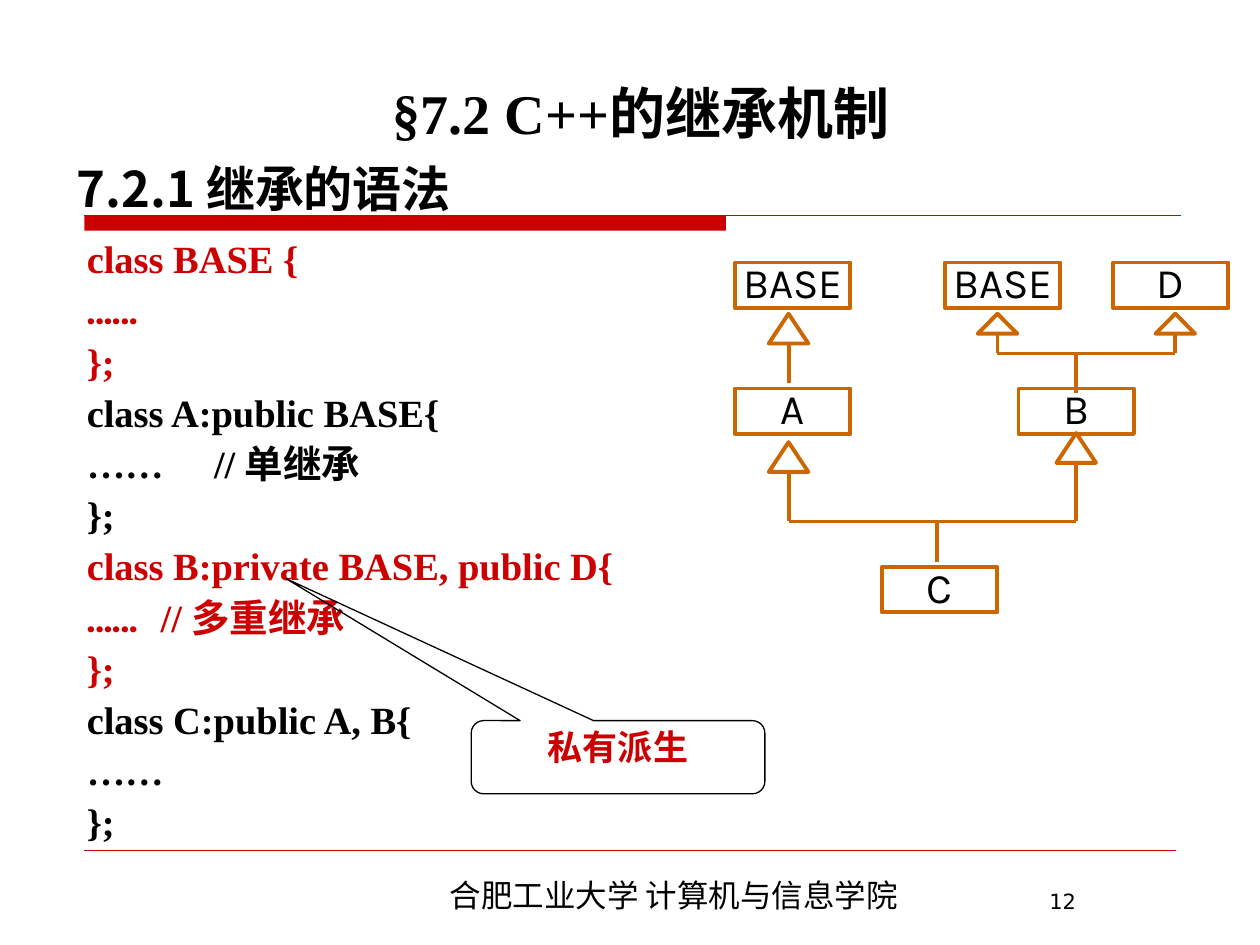
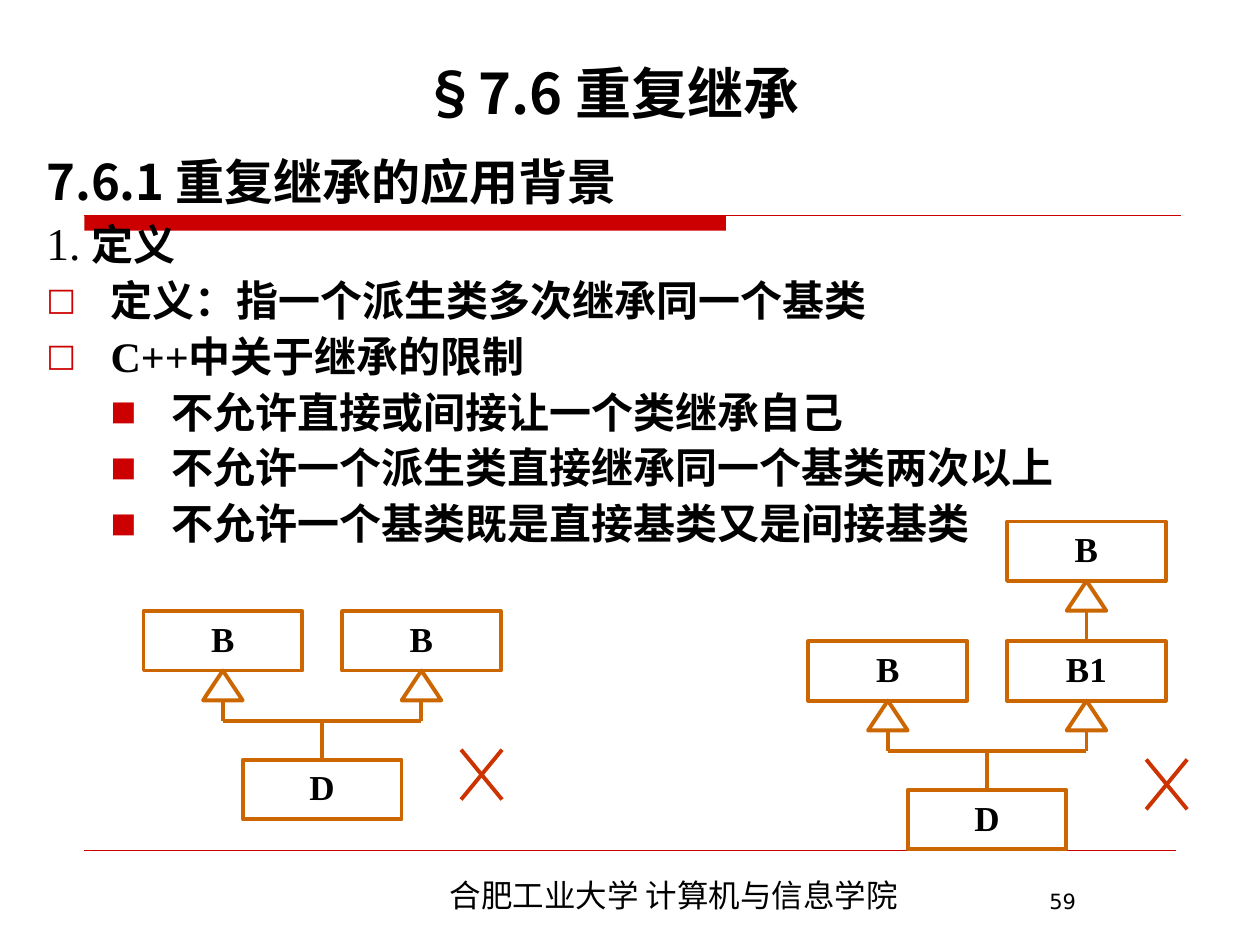
from dataclasses import dataclass

from lxml import etree
from pptx import Presentation
from pptx.dml.color import RGBColor
from pptx.enum.shapes import MSO_CONNECTOR, MSO_SHAPE
from pptx.enum.text import MSO_ANCHOR, MSO_AUTO_SIZE, PP_ALIGN
from pptx.oxml.ns import qn
from pptx.util import Pt

RECT = MSO_SHAPE.RECTANGLE
TRI = MSO_SHAPE.ISOSCELES_TRIANGLE
CALL = MSO_SHAPE.ROUNDED_RECTANGULAR_CALLOUT
LINE = MSO_CONNECTOR.STRAIGHT
LEFT, MID = PP_ALIGN.LEFT, PP_ALIGN.CENTER
TOP, CENTRE, LOW = MSO_ANCHOR.TOP, MSO_ANCHOR.MIDDLE, MSO_ANCHOR.BOTTOM


@dataclass(frozen=True)
class Theme:
    red: str = "CC0000"
    ink: str = "000000"
    edge: str = "CC6600"
    cross: str = "CC3300"
    serif: str = "Times New Roman"
    sans: str = "Karla"
    cjk: str = "Noto Sans CJK SC"
    mono: str = "DejaVu Sans"
    title: int = 32
    head: int = 28
    item: int = 24
    code: int = 22
    label: int = 20
    foot: int = 18
    num: int = 12
    stroke: float = 2.25
    thin: float = 0.75
    hair: float = 0.25


T = Theme()


def node(par, tag, **attrs):
    return etree.SubElement(par, qn("a:" + tag), attrs)


def rgb(code):
    return RGBColor.from_string(code)


class Deck:
    def __init__(self):
        self.prs = Presentation()
        self.prs.slide_width, self.prs.slide_height = Pt(720), Pt(540)
        self.slide = None

    def page(self, num):
        """Start a slide with its band, footer line and footer texts."""
        self.slide = self.prs.slides.add_slide(self.prs.slide_layouts[6])
        band = self.shape(RECT, 48.2, 123.1, 366.6, 8.7)
        band.fill.solid()
        band.fill.fore_color.rgb = rgb(T.red)
        band.line.fill.background()
        self.line(48.2, 123.1, 674.6, 123.1, T.red, T.thin)
        self.line(48.2, 486, 671.8, 486, T.red, T.hair)
        foot = self.text(167, 496.8, 436.3, 28.8)
        self.para(foot, "合肥工业大学 计算机与信息学院", T.foot, T.cjk, align=MID)
        mark = self.text(592.6, 504, 108, 20.9)
        self.para(mark, str(num), T.num, T.mono)

    def text(self, x, y, w, h, anchor=TOP):
        frame = self.slide.shapes.add_textbox(Pt(x), Pt(y), Pt(w), Pt(h)).text_frame
        frame.word_wrap = True
        frame.auto_size = MSO_AUTO_SIZE.NONE
        frame.vertical_anchor = anchor
        return frame

    def para(self, frame, runs, size, face, color=T.ink, bold=False, align=LEFT,
             space=0, lead=None, hang=None, mark=None, tabs=False):
        """Add a paragraph; runs is a string or a list of (text, font changes).

        hang is (margin, indent); mark is (bullet, percent of text size).
        """
        first = not frame.paragraphs[0].runs
        p = frame.paragraphs[0] if first else frame.add_paragraph()
        p.alignment = align
        p.space_before = Pt(0 if first else space)
        if lead:
            p.line_spacing = lead
        props = p._p.get_or_add_pPr()
        if hang:
            props.set("marL", str(Pt(hang[0])))
            props.set("indent", str(Pt(hang[1])))
        if mark:
            node(node(props, "buClr"), "srgbClr", val=T.red)
            node(props, "buSzPct", val=str(mark[1] * 1000))
            node(props, "buFont", typeface=T.mono)
            node(props, "buChar", char=mark[0])
        if tabs:
            stops = node(props, "tabLst")
            for i in range(8):
                node(stops, "tab", pos=str(Pt(72 * i)), algn="l")
        font = p.font
        font.size, font.name, font.bold = Pt(size), face, bold
        font.color.rgb = rgb(color)
        node(props.find(qn("a:defRPr")), "ea", typeface=T.cjk)
        for words, change in [(runs, {})] if isinstance(runs, str) else runs:
            run = p.add_run()
            run.text = words
            for key, val in change.items():
                setattr(run.font, key, val)

    def shape(self, kind, x, y, w, h, color=T.edge, width=T.stroke):
        item = self.slide.shapes.add_shape(kind, Pt(x), Pt(y), Pt(w), Pt(h))
        item.shadow.inherit = False
        item.fill.background()
        item.line.color.rgb = rgb(color)
        item.line.width = Pt(width)
        return item

    def box(self, label, x, y, w, h, size, face, bold=False, anchor=TOP):
        item = self.shape(RECT, x, y, w, h)
        frame = item.text_frame
        frame.margin_left = frame.margin_right = 0
        frame.margin_top = frame.margin_bottom = 0
        frame.word_wrap = False
        frame.vertical_anchor = anchor
        self.para(frame, label, size, face, bold=bold, align=MID, lead=0.9)
        return item

    def line(self, x1, y1, x2, y2, color=T.edge, width=T.stroke, goal=None):
        """Draw a line; goal is a box whose top middle it ends at."""
        item = self.slide.shapes.add_connector(LINE, Pt(x1), Pt(y1), Pt(x2), Pt(y2))
        item.line.color.rgb = rgb(color)
        item.line.width = Pt(width)
        node(item._element.spPr, "effectLst")
        if goal is not None:
            item.end_connect(goal, 0)
        return item

    def arrow(self, x, y, end, high=17, goal=None):
        """Draw a hollow triangle with its tip at x, y and a stem down to end."""
        self.shape(TRI, x - 11.3, y, 22.6, high)
        self.line(x, y + high, x, end, goal=goal)

    def join(self, x1, x2, y, x, end, goal=None):
        """Draw a bar from x1 to x2 and a trunk at x down to end."""
        self.line(x1, y, x2, y)
        self.line(x, y, x, end, goal=goal)

    def cross(self, x, y, w=23.4, h=28.5):
        arms = [self.line(x, y, x + w, y + h, T.cross),
                self.line(x + w, y, x, y + h, T.cross)]
        self.slide.shapes.add_group_shape(arms)

    def fork(self, x, y, right):
        """Draw two base boxes over a box D; return the right base box."""
        w, h, gap = 90.7, 34, 113.5

        def cell(name, left, top):
            return self.box(name, left, top, w, h, T.label, T.serif, True, CENTRE)

        cell("B", x, y)
        base = cell(right, x + gap, y)
        child = cell("D", x + gap / 2, y + 85)
        mids = [x + w / 2, x + w / 2 + gap]
        for mid in mids:
            self.arrow(mid, y + h, y + 62.6)
        self.join(*mids, y + 62.6, sum(mids) / 2, y + 85, child)
        return base


def syntax(deck):
    deck.page(12)
    body = deck.text(42.5, 133.9, 646.6, 362.9)
    sans = {"name": T.sans}
    code = [
        (T.red, ["class BASE {", [("……", sans)], "};"]),
        (T.ink, ["class A:public BASE{", "……\t// 单继承", "};"]),
        (T.red, ["class B:private BASE, public D{",
                 [("……\t", sans), (" // 多重继承", {})], "};"]),
        (T.ink, ["class C:public A, B{", "……", "};"]),
    ]
    for color, rows in code:
        for row in rows:
            deck.para(body, row, T.code, T.serif, color, True, space=5.5,
                      lead=0.9, hang=(36.7, -36.7), tabs=True)

    for name, x, y in [("BASE", 420, 150), ("A", 420, 222), ("B", 582, 222),
                       ("D", 636, 150), ("BASE", 540, 150), ("C", 504, 324)]:
        deck.box(name, x, y, 66, 26, T.item, T.sans)

    note = deck.shape(CALL, 269.3, 411.8, 167.8, 41.8, T.ink, T.thin)
    for i, val in enumerate((-1.13, -2.44, 0.17)):
        note.adjustments[i] = val
    note.text_frame.vertical_anchor = TOP
    deck.para(note.text_frame, "私有派生", T.label, T.sans, T.red, True, MID, lead=0.9)

    title = deck.text(59.8, 37.4, 613.4, 49.7, LOW)
    deck.para(title, "§7.2 C++的继承机制", T.title, T.serif, bold=True, align=MID)
    head = deck.text(36.7, 88.6, 613.4, 38.9, LOW)
    deck.para(head, "7.2.1 继承的语法", T.head, T.cjk, bold=True)

    deck.arrow(450.6, 179.3, 219)
    for x in (570, 671.6):
        deck.arrow(x, 179.3, 202, 11.4)
    deck.join(570, 671.6, 202, 615, 224.6)
    deck.arrow(450.6, 252.7, 298)
    deck.arrow(615, 247.5, 298)
    deck.join(450.6, 615, 298, 535.7, 321)


def repeat(deck):
    deck.page(59)
    title = deck.text(42.5, 25.9, 613.4, 49.7, LOW)
    deck.para(title, "§7.6 重复继承", T.title, T.cjk, bold=True, align=MID)

    body = deck.text(19.4, 82.8, 685.4, 400.3)
    flush, deep = (36.7, -36.7), (71.3, -34.6)
    deck.para(body, "7.6.1 重复继承的应用背景", T.head, T.cjk, bold=True, hang=flush)
    deck.para(body, [("1. ", {"size": Pt(26), "bold": False}), ("定义", {})],
              T.item, T.serif, bold=True, space=3, hang=flush)
    lists = [
        (flush, ("□", 75), ["定义：指一个派生类多次继承同一个基类",
                            "C++中关于继承的限制"]),
        (deep, ("■", 65), ["不允许直接或间接让一个类继承自己",
                           "不允许一个派生类直接继承同一个基类两次以上",
                           "不允许一个基类既是直接基类又是间接基类"]),
    ]
    for hang, mark, rows in lists:
        for row in rows:
            deck.para(body, row, T.item, T.serif, bold=True, space=3,
                      hang=hang, mark=mark)

    deck.fork(82, 349.2, "B")
    base = deck.fork(462, 366.4, "B1")
    deck.box("B", 575.5, 298, 90.7, 34, T.label, T.serif, True, CENTRE)
    deck.arrow(620.85, 332, 366.4, goal=base)
    deck.cross(263.5, 428.4)
    deck.cross(655, 434)


def main():
    deck = Deck()
    syntax(deck)
    repeat(deck)
    deck.prs.save("out.pptx")


if __name__ == "__main__":
    main()
